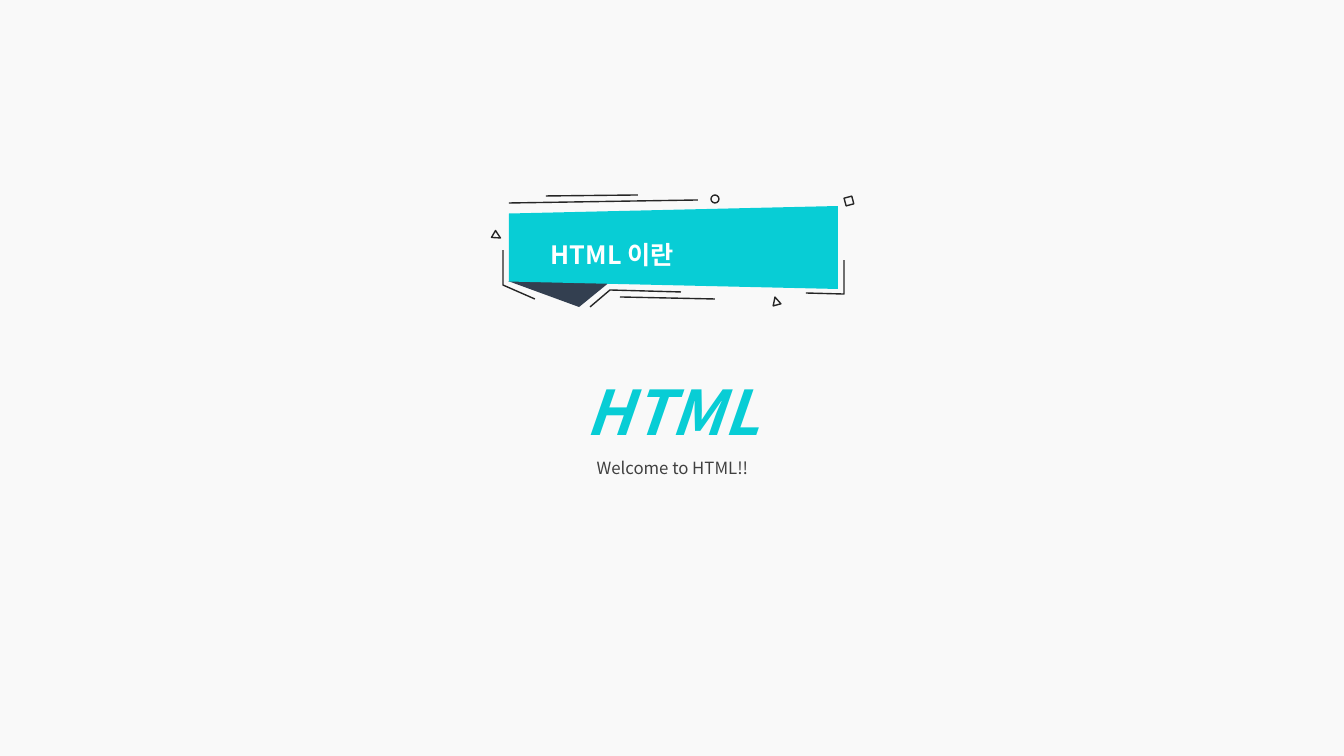
from lxml import etree
from pptx import Presentation
from pptx.dml.color import RGBColor
from pptx.enum.shapes import MSO_CONNECTOR, MSO_SHAPE
from pptx.enum.text import MSO_AUTO_SIZE, PP_ALIGN
from pptx.oxml.ns import qn
from pptx.util import Pt

TRIANGLE, TRAPEZOID = MSO_SHAPE.ISOSCELES_TRIANGLE, MSO_SHAPE.TRAPEZOID
CIRCLE, SQUARE = MSO_SHAPE.OVAL, MSO_SHAPE.RECTANGLE
STRAIGHT = MSO_CONNECTOR.STRAIGHT
LEFT, CENTER = PP_ALIGN.LEFT, PP_ALIGN.CENTER
GROW = MSO_AUTO_SIZE.SHAPE_TO_FIT_TEXT

SLIDE_W, SLIDE_H = 1344, 756  # px
EMU_PER_PX = 12192000 / SLIDE_W
FONT = "Noto Sans CJK KR"
LINE_SPACING = 1.5
COLORS = {
    "background": "F9F9F9",
    "banner": "08CDD5",
    "fold": "333F50",
    "outline": "262626",
    "white": "FFFFFF",
    "body": "404040",
}

# kind, box (left, top, width, height), rotation, adjustment, fill
BANNER_PARTS = [
    (TRIANGLE, (508, 281, 103, 26), 180, 0.31, "fold"),
    (TRAPEZOID, (632, 83, 83, 329), 270, 0.09, "banner"),
]

# kind, left, top, rotation
ORNAMENT_SIZE = 8
ORNAMENTS = [
    (CIRCLE, 711, 195, 0),
    (TRIANGLE, 772, 297, 345),
    (SQUARE, 845, 197, 345),
    (TRIANGLE, 493, 232, 120),
]

STRAIGHT_LINES = [
    (509, 203, 698, 200),
    (546, 196, 638, 195),
    (620, 297, 715, 299),
]

BENT_LINES = [
    [(503, 250), (503, 285), (535, 299)],
    [(590, 307), (610, 290), (681, 292)],
    [(844, 260), (844, 294), (806, 293)],
]

# box, wrap, alignment, paragraphs (text, size, color, bold, italic)
TEXTS = [
    ((541, 219, 152, 50), False, LEFT,
     [("HTML 이란", 18, "white", True, False)]),
    ((261, 332, 823, 152), True, CENTER,
     [("HTML", 44, "banner", True, True),
      ("Welcome to HTML!!", 12, "body", False, False)]),
]


def px(*lengths):
    return [round(v * EMU_PER_PX) for v in lengths]


def rgb(name):
    return RGBColor.from_string(COLORS[name])


def outline(sp):
    sp.line.color.rgb = rgb("outline")
    sp.line.width = Pt(1)


def add_preset(shapes, kind, box, rotation, fill=None):
    """Add a shadowless shape: filled without a line, or outlined only."""
    sp = shapes.add_shape(kind, *px(*box))
    sp.rotation = rotation
    sp.shadow.inherit = False
    if fill:
        sp.fill.solid()
        sp.fill.fore_color.rgb = rgb(fill)
        sp.line.fill.background()
    else:
        sp.fill.background()
        outline(sp)
    return sp


def add_straight_line(shapes, ends):
    line = shapes.add_connector(STRAIGHT, *px(*ends))
    outline(line)
    etree.SubElement(line._element.spPr, qn("a:effectLst"))


def add_bent_line(shapes, points):
    builder = shapes.build_freeform(*points[0], scale=EMU_PER_PX)
    builder.add_line_segments(points[1:], close=False)
    sp = builder.convert_to_shape()
    sp.shadow.inherit = False
    sp.fill.background()
    outline(sp)


def add_text(shapes, box, wrap, alignment, paragraphs):
    tf = shapes.add_textbox(*px(*box)).text_frame
    tf.word_wrap = wrap
    tf.auto_size = GROW
    for i, (text, size, color, bold, italic) in enumerate(paragraphs):
        p = tf.add_paragraph() if i else tf.paragraphs[0]
        p.alignment = alignment
        p.line_spacing = LINE_SPACING
        r = p.add_run()
        r.text = text
        r.font.name = FONT
        r.font.size = Pt(size)
        r.font.bold = bold
        r.font.italic = italic
        r.font.color.rgb = rgb(color)
        etree.SubElement(r.font._element, qn("a:ea"), typeface=FONT)


def main():
    prs = Presentation()
    prs.slide_width, prs.slide_height = px(SLIDE_W, SLIDE_H)
    slide = prs.slides.add_slide(prs.slide_layouts[6])
    slide.background.fill.solid()
    slide.background.fill.fore_color.rgb = rgb("background")

    banner = slide.shapes.add_group_shape().shapes
    for kind, box, rotation, adjustment, fill in BANNER_PARTS:
        sp = add_preset(banner, kind, box, rotation, fill)
        sp.adjustments[0] = adjustment
    for ends in STRAIGHT_LINES:
        add_straight_line(banner, ends)
    for points in BENT_LINES:
        add_bent_line(banner, points)
    for kind, left, top, rotation in ORNAMENTS:
        add_preset(banner, kind, (left, top, ORNAMENT_SIZE, ORNAMENT_SIZE), rotation)

    for text in TEXTS:
        add_text(slide.shapes, *text)
    prs.save("out.pptx")


if __name__ == "__main__":
    main()
